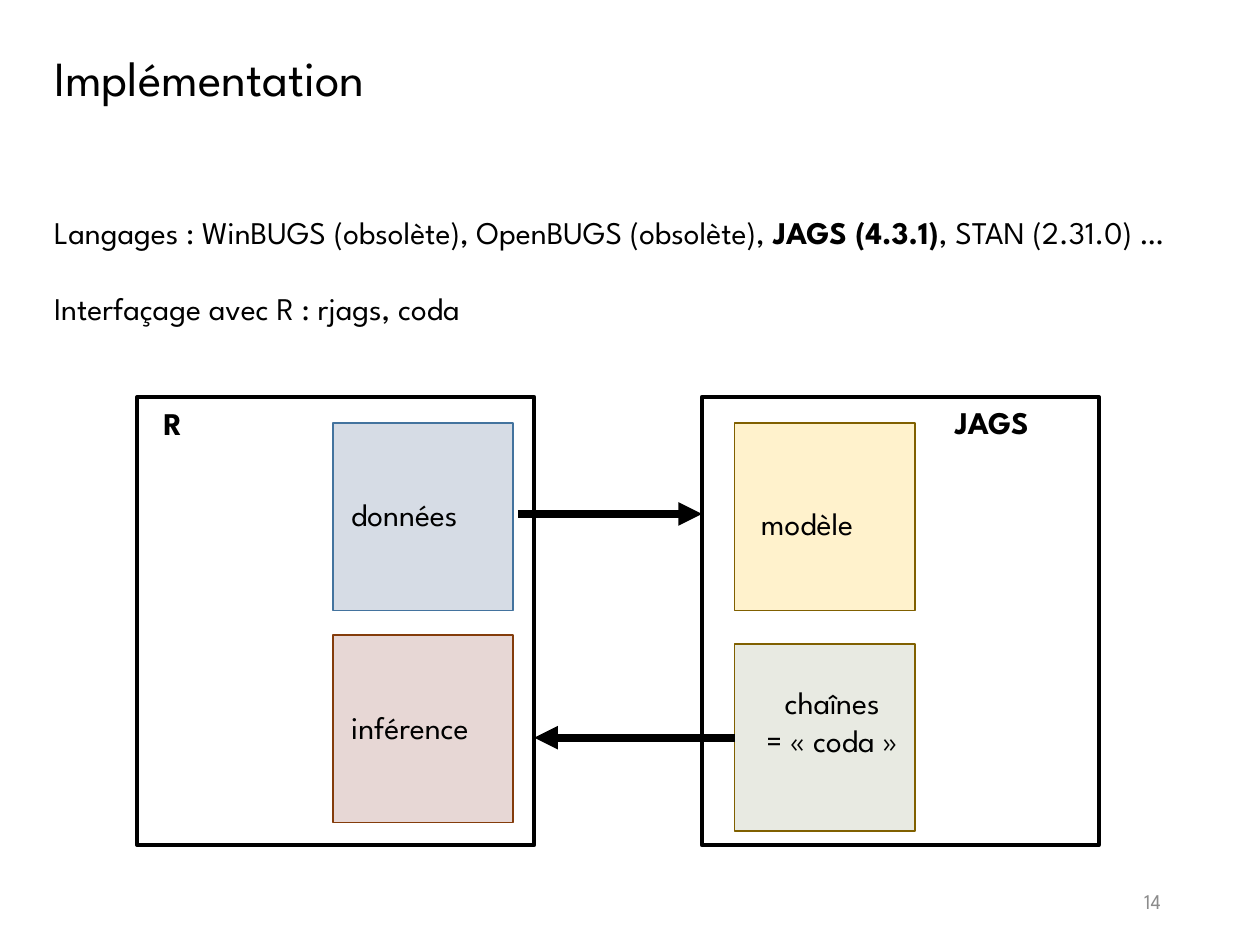
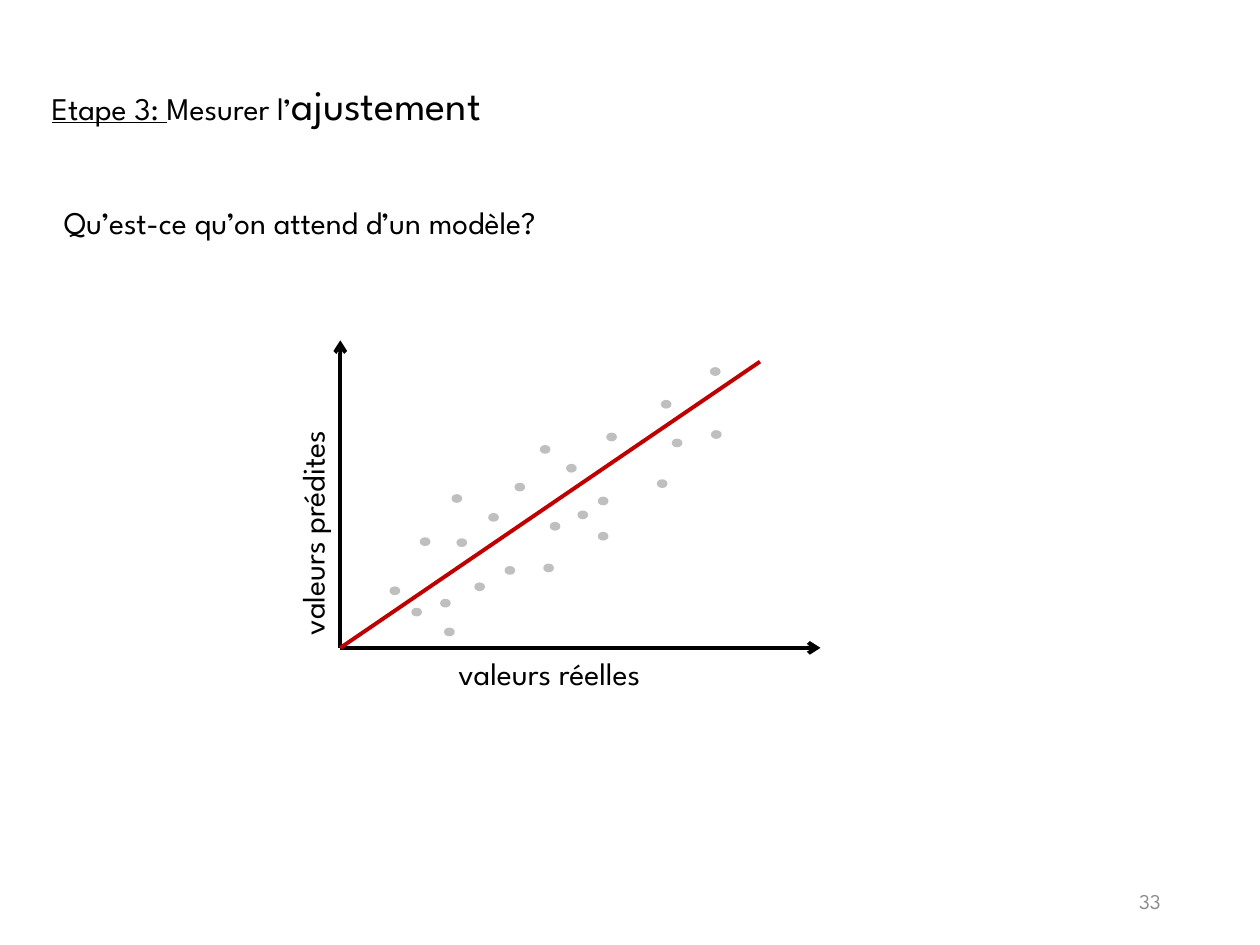
import pptx
import pptx.dml.color
import pptx.enum.shapes
import pptx.enum.text
import pptx.util
from lxml import etree
from pptx.util import Cm

RGBColor = pptx.dml.color.RGBColor
BLACK = RGBColor(0x00, 0x00, 0x00)
PAGE_GRAY = RGBColor(0x8C, 0x8C, 0x8C)
POINT_GRAY = RGBColor(0xBF, 0xBF, 0xBF)
FIT_RED = RGBColor(0xC0, 0x00, 0x00)
DATA_FILL = RGBColor(0xD6, 0xDC, 0xE5)
DATA_LINE = RGBColor(0x43, 0x73, 0x9E)
MODEL_FILL = RGBColor(0xFF, 0xF2, 0xCC)
MODEL_LINE = RGBColor(0x80, 0x60, 0x00)
CHAINS_FILL = RGBColor(0xE8, 0xEA, 0xE2)
INFERENCE_FILL = RGBColor(0xE7, 0xD7, 0xD5)
INFERENCE_LINE = RGBColor(0x84, 0x3C, 0x0B)
FONT = "League Spartan"
ALIGN = pptx.enum.text.PP_ALIGN
ANCHOR = pptx.enum.text.MSO_ANCHOR
SHAPE = pptx.enum.shapes.MSO_SHAPE


def add_text(slide, text, left, top, width, height=1.02, size=18, color=BLACK, bold=False,
             align=ALIGN.LEFT, anchor=ANCHOR.TOP, gap=0, rotation=0):
    box = slide.shapes.add_textbox(Cm(left), Cm(top), Cm(width), Cm(height))
    box.rotation = rotation
    frame = box.text_frame
    frame.word_wrap = True
    frame.vertical_anchor = anchor
    paragraphs = [text] if isinstance(text, str) else text
    for index, content in enumerate(paragraphs):
        paragraph = frame.paragraphs[0] if index == 0 else frame.add_paragraph()
        paragraph.alignment = align
        paragraph.space_before = pptx.util.Pt(gap if index else 0)
        runs = [(content, {})] if isinstance(content, str) else content
        for words, changes in runs:
            run = paragraph.add_run()
            run.text = words
            run.font.name = FONT
            run.font.size = pptx.util.Pt(changes.get("size", size))
            run.font.bold = changes.get("bold", bold)
            run.font.underline = changes.get("underline", False)
            run.font.color.rgb = color


def add_line(slide, start, end, width, color=BLACK, head=None):
    line = slide.shapes.add_connector(
        pptx.enum.shapes.MSO_CONNECTOR.STRAIGHT,
        Cm(start[0]), Cm(start[1]), Cm(end[0]), Cm(end[1]))
    line.line.color.rgb = color
    line.line.width = pptx.util.Pt(width)
    if head:
        outline = line.line._get_or_add_ln()
        etree.SubElement(outline, pptx.oxml.ns.qn("a:tailEnd"), type=head)
    etree.SubElement(line._element.spPr, pptx.oxml.ns.qn("a:effectLst"))
    return line


presentation = pptx.Presentation()
presentation.slide_width = Cm(25.4)
presentation.slide_height = Cm(19.05)
slides = []
for number in ("14", "33"):
    slide = presentation.slides.add_slide(presentation.slide_layouts[6])
    add_text(slide, number, 17.93, 17.65, 5.72, size=12, color=PAGE_GRAY,
             align=ALIGN.RIGHT, anchor=ANCHOR.MIDDLE)
    slides.append(slide)
implementation, adjustment = slides

add_text(implementation, "Implémentation", 0.84, 0.84, 20.32, 1.45, size=28)
languages = [
    ("Langages : WinBUGS (obsolète), OpenBUGS (obsolète), ", {}),
    ("JAGS (4.3.1)", {"bold": True}),
    (", STAN (2.31.0) …", {}),
]
add_text(implementation, [languages, "Interfaçage avec R : rjags, coda"],
         0.84, 4.17, 23.14, 3.33, gap=22)

FRAME_SIZE = (8, 9.04)
BLOCK_SIZE = (3.63, 3.78)
rectangles = {}
for name, left, top, size, fill, outline, weight in (
    ("R", 2.77, 8, FRAME_SIZE, None, BLACK, 2.25),
    ("JAGS", 14.15, 8, FRAME_SIZE, None, BLACK, 2.25),
    ("données", 6.71, 8.53, BLOCK_SIZE, DATA_FILL, DATA_LINE, 1),
    ("modèle", 14.81, 8.53, BLOCK_SIZE, MODEL_FILL, MODEL_LINE, 1),
    ("chaînes", 14.81, 12.98, BLOCK_SIZE, CHAINS_FILL, MODEL_LINE, 1),
    ("inférence", 6.71, 12.8, BLOCK_SIZE, INFERENCE_FILL, INFERENCE_LINE, 1),
):
    rectangle = implementation.shapes.add_shape(
        SHAPE.RECTANGLE, Cm(left), Cm(top), Cm(size[0]), Cm(size[1]))
    rectangle.shadow.inherit = False
    if fill is None:
        rectangle.fill.background()
    else:
        rectangle.fill.solid()
        rectangle.fill.fore_color.rgb = fill
    rectangle.line.color.rgb = outline
    rectangle.line.width = pptx.util.Pt(weight)
    rectangles[name] = rectangle

for label, left, top, bold in (
    ("R", 3.05, 8.03, True),
    ("JAGS", 19, 8, True),
    ("données", 6.83, 9.86, False),
    ("modèle", 15.09, 10.03, False),
    ("inférence", 6.83, 14.15, False),
):
    add_text(implementation, label, left, top, BLOCK_SIZE[0], bold=bold)
add_text(implementation, ["chaînes", "= « coda »"], 14.96, 13.64, BLOCK_SIZE[0], 2.57,
         align=ALIGN.CENTER)

add_line(implementation, (10.44, 10.36), (14.15, 10.36), 4.5, head="triangle")
chains_arrow = add_line(implementation, (14.81, 14.87), (10.77, 14.87), 4.5, head="triangle")
chains_arrow.begin_connect(rectangles["chaînes"], 1)

step_title = [
    ("Etape 3: ", {"underline": True}),
    ("Mesurer l’", {}),
    ("ajustement", {"size": 24}),
]
add_text(adjustment, [step_title], 0.79, 1.45, 20.09, 1.27)
add_text(adjustment, "Qu’est-ce qu’on attend d’un modèle?", 1.04, 3.96, 15.9)

ORIGIN = (6.86, 13.06)
add_line(adjustment, ORIGIN, (6.86, 6.86), 2.25, head="arrow")
add_line(adjustment, ORIGIN, (16.54, 13.06), 2.25, head="arrow")
add_text(adjustment, "valeurs réelles", 8.99, 13.06, 5.33)
add_text(adjustment, "valeurs prédites", 3.63, 9.88, 5.33, rotation=270)
add_line(adjustment, ORIGIN, (15.32, 7.29), 2.25, color=FIT_RED)

for left, top in (
    (10.19, 11.43), (9.86, 10.36), (9.22, 10.87), (11.43, 9.37), (12.07, 10.03),
    (10.39, 9.75), (10.9, 8.99), (11.1, 10.54), (11.66, 10.31), (12.07, 10.74),
    (9.12, 9.98), (12.24, 8.74), (13.34, 8.08), (13.26, 9.68), (14.33, 7.42),
    (9.58, 11.76), (14.35, 8.69), (10.97, 11.38), (13.56, 8.86), (7.87, 11.84),
    (8.31, 12.27), (8.89, 12.09), (8.48, 10.85), (8.97, 12.67),
):
    point = adjustment.shapes.add_shape(SHAPE.OVAL, Cm(left), Cm(top), Cm(0.18), Cm(0.14))
    point.shadow.inherit = False
    point.fill.solid()
    point.fill.fore_color.rgb = POINT_GRAY
    point.line.color.rgb = POINT_GRAY
    point.line.width = pptx.util.Pt(1)

presentation.save("out.pptx")
